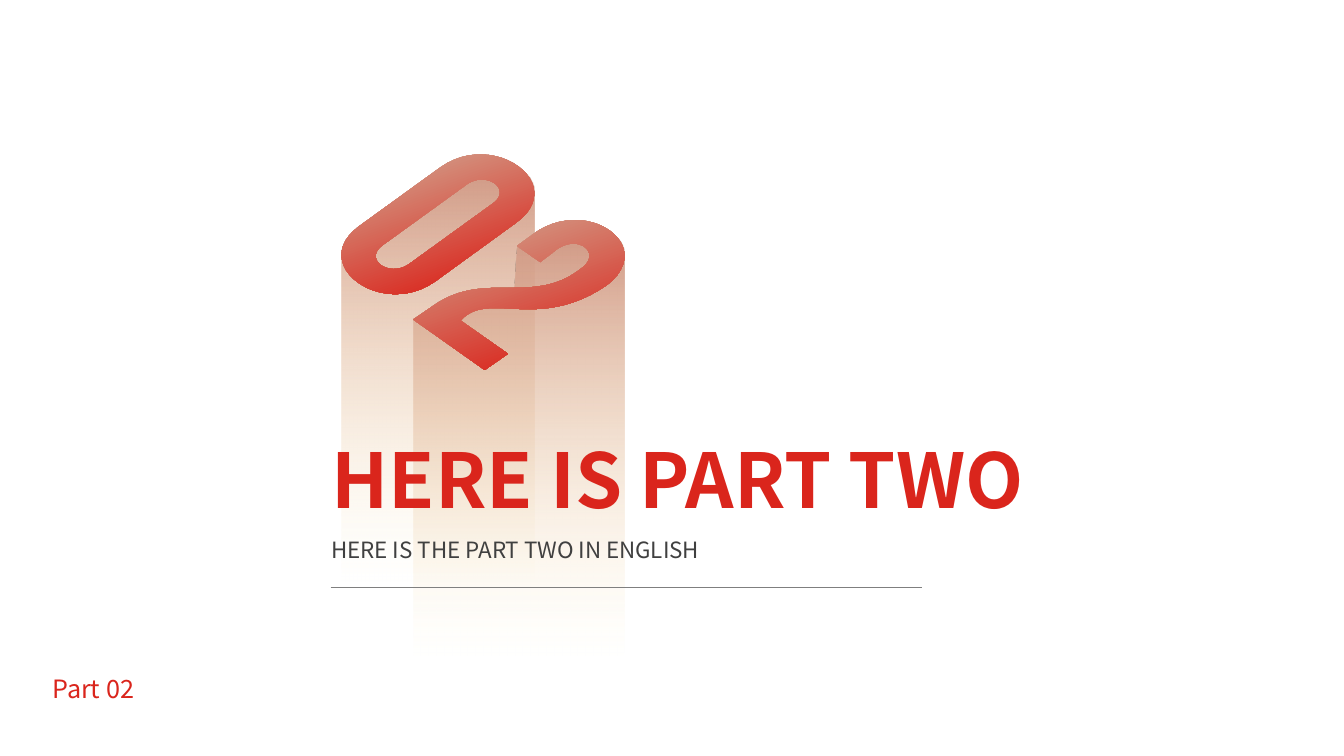
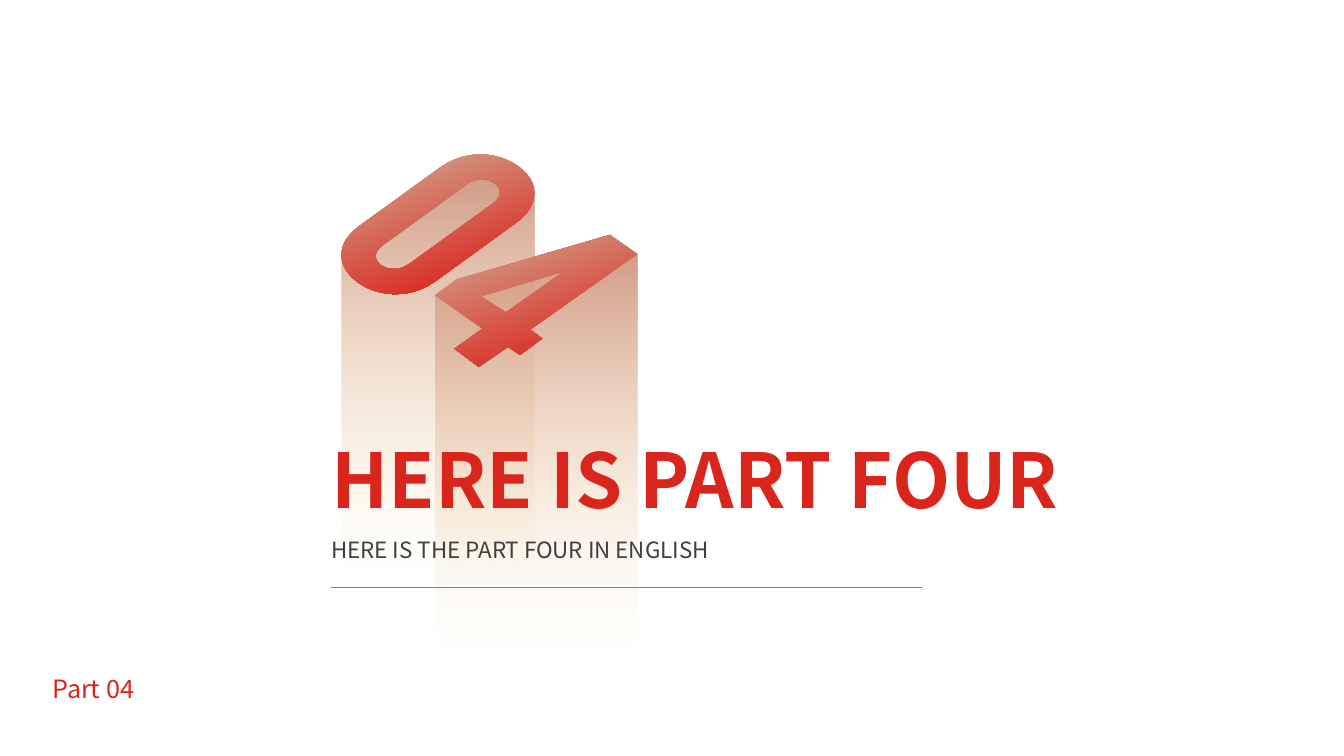
from dataclasses import dataclass

from lxml import etree
from pptx import Presentation
from pptx.dml.color import RGBColor as RGB
from pptx.enum.shapes import MSO_CONNECTOR as CONNECTOR
from pptx.enum.text import MSO_ANCHOR as ANCHOR, MSO_AUTO_SIZE as AUTO_SIZE, PP_ALIGN as ALIGN
from pptx.oxml.ns import qn
from pptx.util import Cm, Pt


@dataclass(frozen=True)
class Theme:
    font: str = "Noto Sans CJK SC"
    red: RGB = RGB(0xDA, 0x25, 0x1C)
    clay: RGB = RGB(0xD2, 0x9C, 0x88)
    cream: RGB = RGB(0xFF, 0xF2, 0xCC)
    text: RGB = RGB(0x40, 0x40, 0x40)
    rule: RGB = RGB(0x7F, 0x7F, 0x7F)
    title_size: Pt = Pt(54)
    part_size: Pt = Pt(18)
    subtitle_size: Pt = Pt(16)


theme = Theme()

# Clockwise digit outlines on a fine grid: pairs are corners, sixes are Bézier curves
GRID = Cm(0.0254)
CURVE_STEPS = 24
DROP = 387  # height of the raised digits
INSET = 20  # how far the sides start below the top of the face
ZERO_CENTER = (434.5, 222.5)
OUTLINES = {
    "0": [  # one half of each ring; the other half is its point reflection
        [(437, 166), (490, 128, 565, 183, 512, 221)],
        [(463, 183), (483, 169, 509, 188, 489, 202)],
    ],
    "2": [
        [(513, 244), (528, 233), (580, 193, 654, 243, 602, 283),
         (533, 330, 485, 287, 457, 318), (504, 351), (481, 367), (410, 317), (429, 304),
         (480, 267, 528, 304, 576, 267), (598, 252, 575, 232, 553, 247), (536, 260)],
    ],
    "4": [
        [(526, 327), (538, 336), (516, 352), (504, 344), (475, 364), (451, 346),
         (479, 326), (432, 293), (454, 277), (605, 233), (632, 252)],
        [(502, 310), (560, 269), (477, 294)],
    ],
}

# Flatten the curves into closed rings of points
rings = {}
for digit, outlines in OUTLINES.items():
    rings[digit] = []
    for outline in outlines:
        points = []
        for step in outline:
            if len(step) == 2:
                points.append(step)
                continue
            anchors = [points[-1], step[:2], step[2:4], step[4:]]
            for index in range(1, CURVE_STEPS + 1):
                t = index / CURVE_STEPS
                weights = [(1 - t) ** 3, 3 * t * (1 - t) ** 2, 3 * t * t * (1 - t), t ** 3]
                points.append(tuple(
                    sum(weight * anchor[axis] for weight, anchor in zip(weights, anchors))
                    for axis in range(2)))
        if digit == "0":
            points += [(2 * ZERO_CENTER[0] - x, 2 * ZERO_CENTER[1] - y) for x, y in points]
        rings[digit].append(points)

# Sweep each outer ring downwards to get the sides
sides = {}
for digit, (outer, *_) in rings.items():
    rightmost = outer.index(max(outer))
    ring = outer[rightmost:] + outer[:rightmost]
    leftmost = ring.index(min(ring))
    top = min(y for x, y in ring) + INSET
    upper = [ring[0]]
    for x, y in reversed(ring[leftmost:]):
        if x < upper[-1][0]:
            upper.append((x, max(y, top)))
    lower = [(x, y + DROP) for x, y in ring[:leftmost + 1]]
    sides[digit] = [upper + lower[::-1]]

# Gradients: stops, clockwise angle, whether the end fades out
SIDE_GRADIENT = [(0, theme.clay), (0.8, theme.cream)], 90, True
FACE_GRADIENT = [(0.11, theme.clay), (0.87, theme.red)], 70, False


def add_digit_part(slide, contours, gradient):
    """Draw closed contours as one freeform with a two-stop gradient."""
    builder = None
    for contour in contours:
        corners = [(x * GRID, y * GRID) for x, y in contour]
        if builder is None:
            builder = slide.shapes.build_freeform(*corners[0])
        else:
            builder.move_to(*corners[0])
        builder.add_line_segments(corners[1:], close=True)
    shape = builder.convert_to_shape()
    shape.shadow.inherit = False
    shape.line.fill.background()

    stops, angle, fades = gradient
    shape.fill.gradient()
    shape.fill.gradient_angle = 360 - angle
    for stop, (position, color) in zip(shape.fill.gradient_stops, stops):
        stop.position = position
        stop.color.rgb = color
    if fades:
        end_color = list(shape.element.iter(qn("a:srgbClr")))[-1]
        etree.SubElement(end_color, qn("a:alpha"), val="0")


def write_text(shape, box, text, size, color, bold=False):
    """Place a text shape and fill it with one formatted line."""
    shape.left, shape.top, shape.width, shape.height = box
    frame = shape.text_frame
    frame.word_wrap = True
    frame.auto_size = AUTO_SIZE.SHAPE_TO_FIT_TEXT
    frame.vertical_anchor = ANCHOR.TOP
    paragraph = frame.paragraphs[0]
    paragraph.alignment = ALIGN.JUSTIFY
    run = paragraph.add_run()
    run.text = text
    run.font.name = theme.font
    run.font.size = size
    run.font.bold = bold
    run.font.color.rgb = color


presentation = Presentation()
presentation.slide_width = Cm(33.87)
presentation.slide_height = Cm(19.05)
title_only = presentation.slide_layouts[5]

title_box = Cm(8.1), Cm(10.77), Cm(23.8), Cm(2.57)
subtitle_box = Cm(8.1), Cm(13.39), Cm(15.42), Cm(0.94)
part_box = Cm(1.07), Cm(16.84), Cm(4.04), Cm(1.04)

for number, word in [("02", "TWO"), ("04", "FOUR")]:
    slide = presentation.slides.add_slide(title_only)

    # Part number as raised digits
    for digit in number:
        add_digit_part(slide, sides[digit], SIDE_GRADIENT)
        add_digit_part(slide, rings[digit], FACE_GRADIENT)

    # Rule under the subtitle
    rule = slide.shapes.add_connector(CONNECTOR.STRAIGHT, Cm(8.33), Cm(14.81), Cm(23.24), Cm(14.81))
    rule.line.color.rgb = theme.rule
    rule.line.width = Pt(0.5)
    etree.SubElement(rule.element.spPr, qn("a:effectLst"))

    # Title, brought in front of the digits
    title = slide.shapes.title
    write_text(title, title_box, f"HERE IS PART {word}", theme.title_size, theme.red, bold=True)
    title.element.getparent().append(title.element)

    # Subtitle and part label
    for box, text, size, color in [
        (subtitle_box, f"HERE IS THE PART {word} IN ENGLISH", theme.subtitle_size, theme.text),
        (part_box, f"Part {number}", theme.part_size, theme.red),
    ]:
        write_text(slide.shapes.add_textbox(*box), box, text, size, color)

presentation.save("out.pptx")
